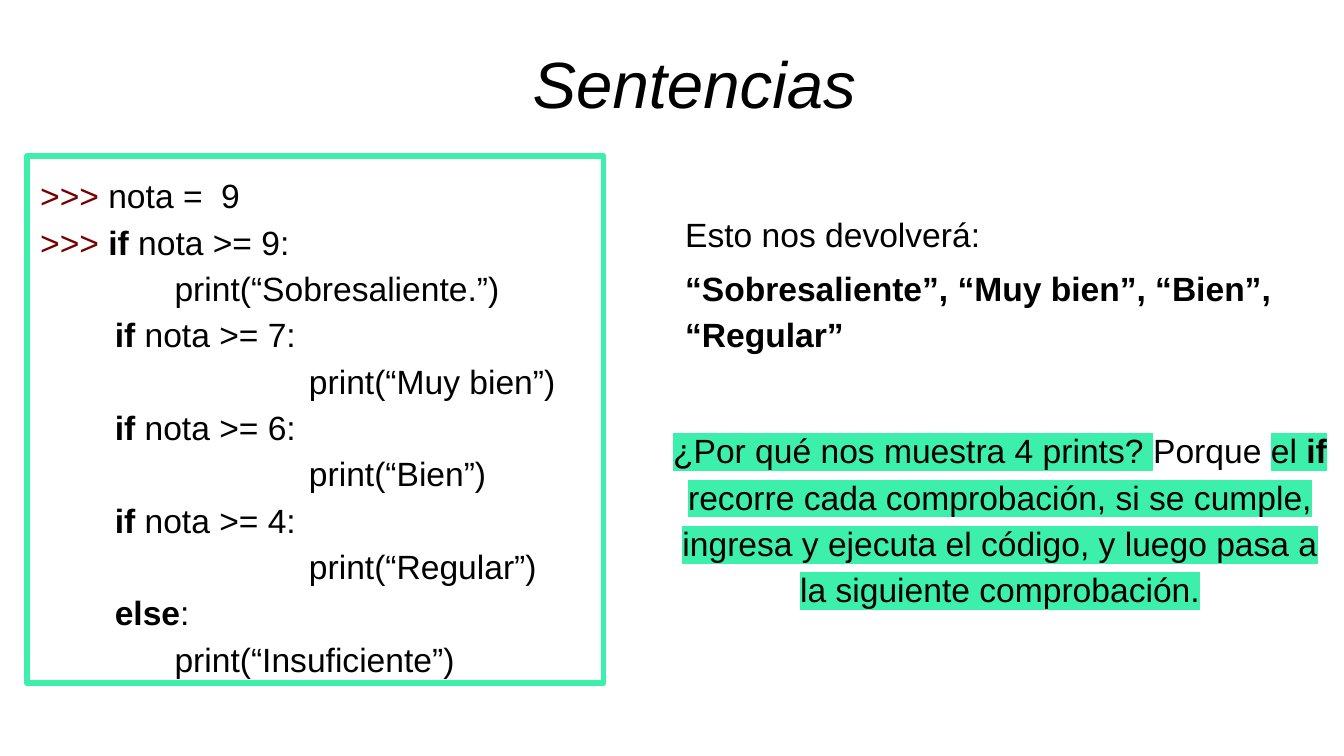
import pptx
import pptx.dml.color
import pptx.enum.shapes
import pptx.enum.text
import pptx.oxml
import pptx.oxml.ns
import pptx.util
from dataclasses import dataclass

Cm, Pt = pptx.util.Cm, pptx.util.Pt
ALIGN = pptx.enum.text.PP_ALIGN
ANCHOR = pptx.enum.text.MSO_ANCHOR


@dataclass(frozen=True)
class Theme:
    font: str = "Arial"
    ink: str = "000000"
    prompt: str = "770000"
    accent: str = "3CEFAB"
    paper: str = "FFFFFF"
    title_size: int = 35
    body_size: int = 18
    line_spacing: float = 1.15


THEME = Theme()

# A run is (text, format); a paragraph is a list of runs.
BOLD = {"bold": True}
PROMPT = {"color": THEME.prompt}
MARKED = {"highlight": THEME.accent}

TITLE = [[("Sentencias", {"italic": True})]]

# Indent in cm, then the runs of the code line
CODE = [
    (0, [(">>>", PROMPT), (" nota =  9", {})]),
    (0, [(">>> ", PROMPT), ("if", BOLD), (" nota >= 9:", {})]),
    (2.54, [("print(“Sobresaliente.”)", {})]),
    (1.41, [("if", BOLD), (" nota >= 7:", {})]),
    (5.08, [("print(“Muy bien”)", {})]),
    (1.41, [("if", BOLD), (" nota >= 6:", {})]),
    (5.08, [("print(“Bien”)", {})]),
    (1.41, [("if", BOLD), (" nota >= 4:", {})]),
    (5.08, [("print(“Regular”)", {})]),
    (1.41, [("else", BOLD), (":", {})]),
    (2.54, [("print(“Insuficiente”)", {})]),
]

RESULT = [
    [("Esto nos devolverá:", {})],
    [("“Sobresaliente”, “Muy bien”, “Bien”, “Regular”", BOLD)],
]

EXPLANATION = [[
    ("¿Por qué nos muestra 4 prints? ", MARKED),
    ("Porque ", {}),
    ("el ", MARKED),
    ("if", {**MARKED, **BOLD}),
    (" recorre cada comprobación, si se cumple, ingresa y ejecuta el código, "
     "y luego pasa a la siguiente comprobación.", MARKED),
]]

# Left, top, width, height in cm
TITLE_AT = (5.44, 0.18, 15.37, 2.74)
CODE_AT = (0.51, 2.95, 10.9, 9.96)
RESULT_AT = (12.7, 3.68, 11.73, 3.2)
EXPLANATION_AT = (12.37, 7.77, 13.06, 3.94)


def rgb(color):
    return pptx.dml.color.RGBColor.from_string(color)


def highlight_run(run, color):
    mark = pptx.oxml.parse_xml(
        f'<a:highlight {pptx.oxml.ns.nsdecls("a")}><a:srgbClr val="{color}"/></a:highlight>')
    run.font._element.find(pptx.oxml.ns.qn("a:latin")).addprevious(mark)


def write_text(box, paragraphs, size=THEME.body_size, align=ALIGN.LEFT,
               anchor=ANCHOR.TOP, line_spacing=THEME.line_spacing,
               space_after=0, indents=()):
    """Fill box with paragraphs; indents gives each one's left margin in cm."""
    frame = box.text_frame
    frame.word_wrap = True
    frame.auto_size = pptx.enum.text.MSO_AUTO_SIZE.NONE
    frame.vertical_anchor = anchor
    frame.margin_left = frame.margin_right = Cm(0.25)
    frame.margin_top = frame.margin_bottom = Cm(0.25)
    for index, runs in enumerate(paragraphs):
        paragraph = frame.add_paragraph() if index else frame.paragraphs[0]
        paragraph.alignment = align
        paragraph.line_spacing = line_spacing
        paragraph.space_before = Pt(0)
        paragraph.space_after = Pt(space_after)
        if indents:
            paragraph._p.get_or_add_pPr().set("marL", str(Cm(indents[index])))
        for text, style in runs:
            run = paragraph.add_run()
            run.text = text
            run.font.name = THEME.font
            run.font.size = Pt(size)
            run.font.bold = style.get("bold", False)
            run.font.italic = style.get("italic", False)
            run.font.color.rgb = rgb(style.get("color", THEME.ink))
            if "highlight" in style:
                highlight_run(run, style["highlight"])


def add_frame(slide, at, line_color, line_width):
    frame = slide.shapes.add_shape(
        pptx.enum.shapes.MSO_SHAPE.RECTANGLE, *map(Cm, at))
    frame.shadow.inherit = False
    frame.fill.background()
    frame.line.color.rgb = rgb(line_color)
    frame.line.width = Pt(line_width)
    return frame


def main():
    deck = pptx.Presentation()
    deck.slide_width, deck.slide_height = Cm(25.4), Cm(14.29)
    slide = deck.slides.add_slide(deck.slide_layouts.get_by_name("Title Only"))

    title = slide.shapes.title
    title.left, title.top, title.width, title.height = map(Cm, TITLE_AT)
    write_text(title, TITLE, size=THEME.title_size, align=ALIGN.CENTER,
               anchor=ANCHOR.MIDDLE, line_spacing=1.0)

    code = add_frame(slide, CODE_AT, THEME.accent, 3)
    write_text(code, [runs for _, runs in CODE],
               indents=[indent for indent, _ in CODE])

    result = add_frame(slide, RESULT_AT, THEME.paper, 0.75)
    write_text(result, RESULT, space_after=4)

    explanation = slide.shapes.add_textbox(*map(Cm, EXPLANATION_AT))
    write_text(explanation, EXPLANATION, align=ALIGN.CENTER)

    deck.save("out.pptx")


if __name__ == "__main__":
    main()
